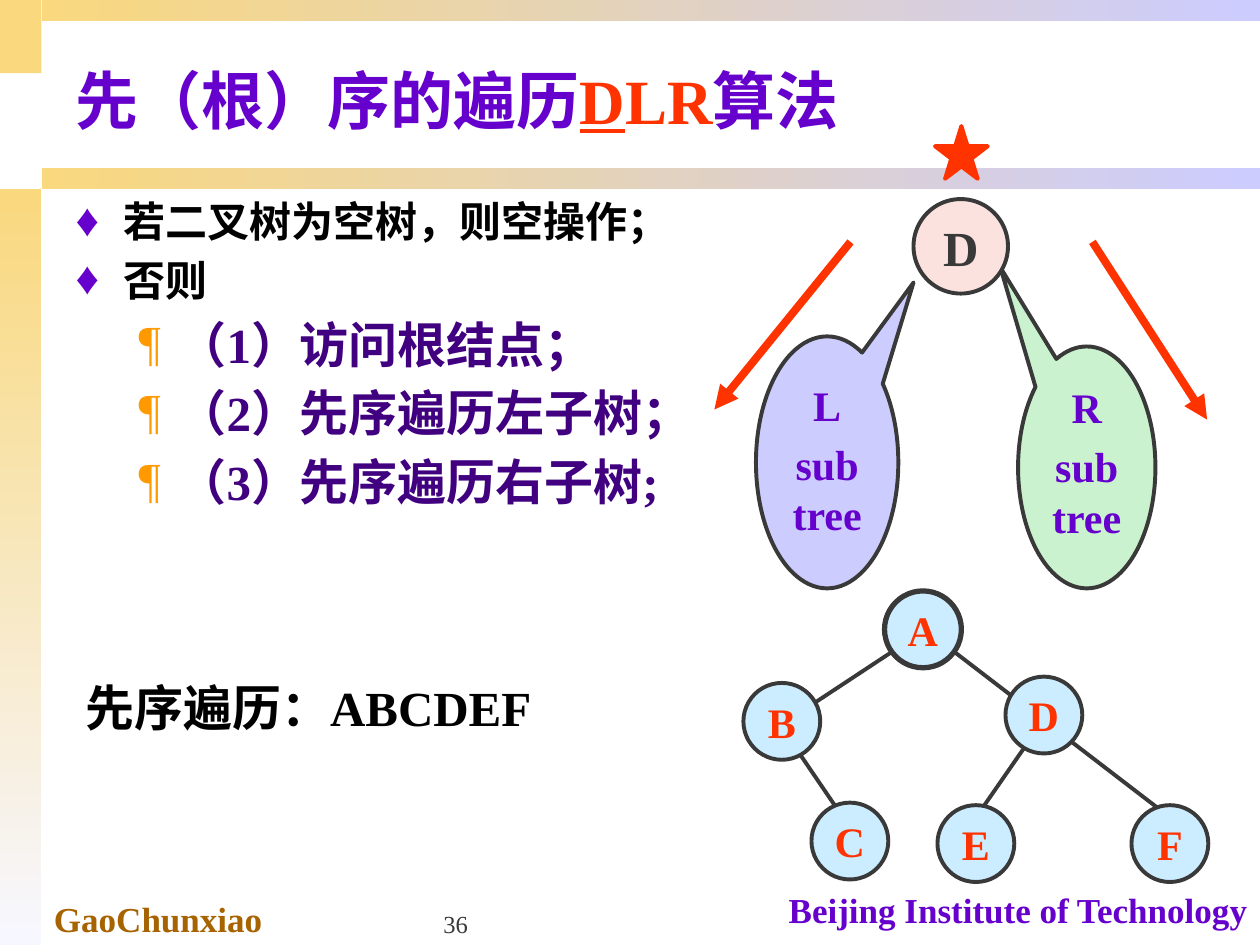
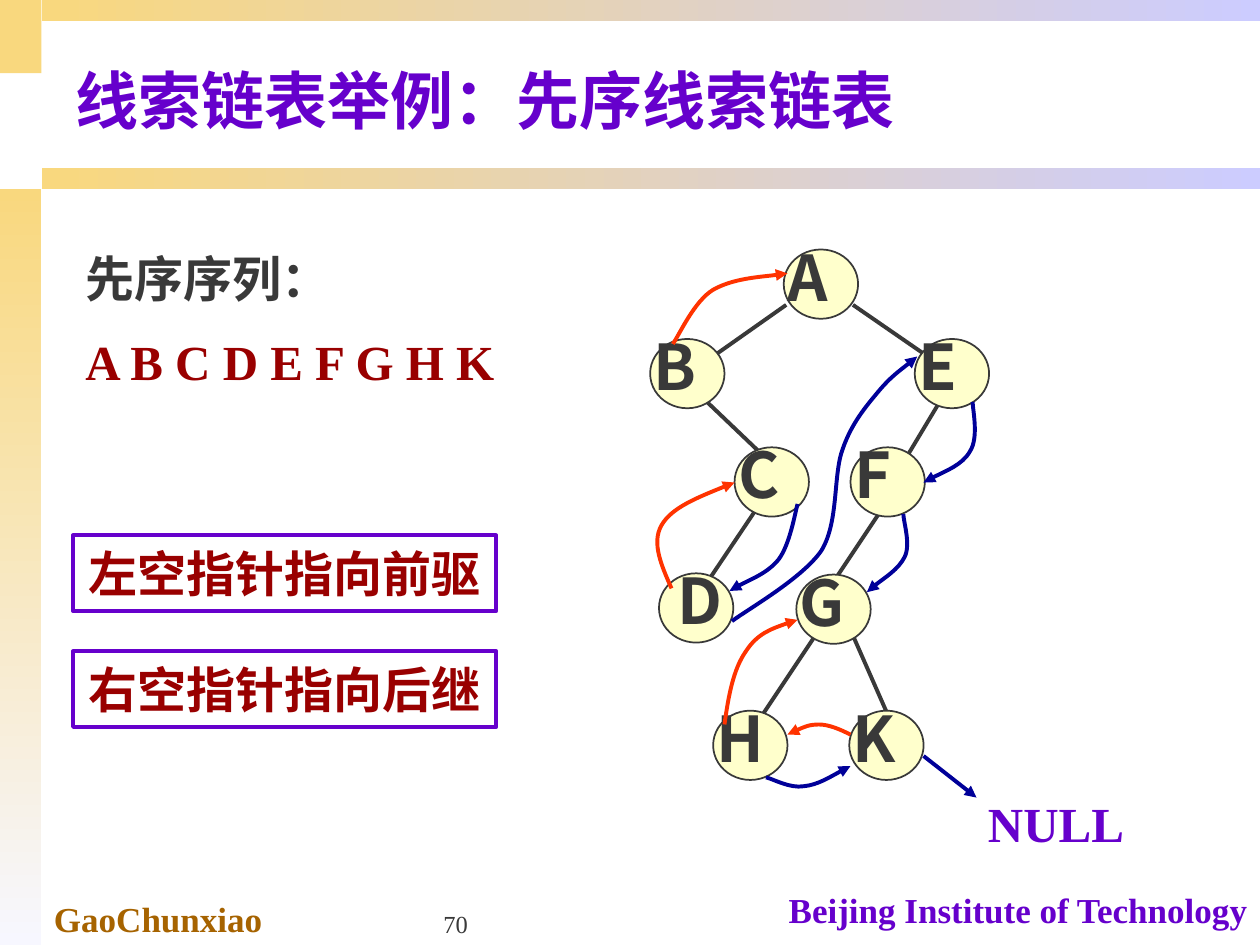
from lxml import etree
from pptx import Presentation
from pptx.dml.color import RGBColor
from pptx.enum.shapes import MSO_CONNECTOR, MSO_SHAPE
from pptx.enum.text import MSO_ANCHOR, MSO_AUTO_SIZE, PP_ALIGN
from pptx.oxml.ns import qn
from pptx.util import Inches, Pt

RECTANGLE, ELLIPSE = MSO_SHAPE.RECTANGLE, MSO_SHAPE.OVAL
CALLOUT, STAR = MSO_SHAPE.OVAL_CALLOUT, MSO_SHAPE.STAR_5_POINT
STRAIGHT = MSO_CONNECTOR.STRAIGHT
TOP, MIDDLE, BOTTOM = MSO_ANCHOR.TOP, MSO_ANCHOR.MIDDLE, MSO_ANCHOR.BOTTOM
LEFT, CENTER, RIGHT = PP_ALIGN.LEFT, PP_ALIGN.CENTER, PP_ALIGN.RIGHT
NO_AUTOFIT = MSO_AUTO_SIZE.NONE

SERIF, SANS = "Times New Roman", "Noto Sans CJK SC"
PURPLE, ORANGE, GRAY, BLACK = "6600CC", "FF3300", "393939", "000000"
GOLD, LILAC, PALE, BROWN = "F9D87E", "CCCCFF", "F7F7FF", "A66300"
MAROON, NAVY, INDIGO, AMBER = "990000", "000099", "400080", "FF9900"
SKY, CREAM, PINK, GREEN = "CCECFF", "FFFFCC", "FBE2DF", "CAF2CE"


def rgb(value):
    return RGBColor.from_string(value)


def box(left, top, width, height):
    return [Inches(value) for value in (left, top, width, height)]


def add_run(paragraph, text, size, color, bold=True, font=SERIF, underline=None):
    run = paragraph.add_run()
    run.text = text
    run.font.size = Pt(size)
    run.font.bold = bold
    run.font.name = font
    run.font.underline = underline
    run.font.color.rgb = rgb(color)
    east_asian = etree.SubElement(run.font._element, qn("a:ea"))
    east_asian.set("typeface", SANS)


def set_frame(shape, anchor=TOP, wrap=True):
    frame = shape.text_frame
    frame.auto_size = NO_AUTOFIT
    frame.vertical_anchor = anchor
    frame.word_wrap = wrap
    return frame


def add_text(slide, bounds, text, size, color, align=LEFT, anchor=TOP, **style):
    text_box = slide.shapes.add_textbox(*box(*bounds))
    paragraph = set_frame(text_box, anchor).paragraphs[0]
    paragraph.alignment = align
    add_run(paragraph, text, size, color, **style)
    return text_box


def add_shape(slide, kind, bounds, fill=None, line=None, width=2.25):
    shape = slide.shapes.add_shape(kind, *box(*bounds))
    shape.shadow.inherit = False
    if fill:
        shape.fill.solid()
        shape.fill.fore_color.rgb = rgb(fill)
    else:
        shape.fill.background()
    if line:
        shape.line.color.rgb = rgb(line)
        shape.line.width = Pt(width)
    else:
        shape.line.fill.background()
    return shape


def add_label(shape, text, size, color):
    paragraph = set_frame(shape, MIDDLE, False).paragraphs[0]
    paragraph.alignment = CENTER
    add_run(paragraph, text, size, color)


def set_line(shape, color, width, arrow):
    shape.line.color.rgb = rgb(color)
    shape.line.width = Pt(width)
    if arrow:
        line = shape.line._get_or_add_ln()
        etree.SubElement(line, qn("a:tailEnd")).set("type", "triangle")


def add_line(slide, origin, ends, color=GRAY, width=2.25, arrow=False):
    left, top = origin
    x1, y1, x2, y2 = ends
    points = box(left + x1, top + y1, left + x2, top + y2)
    connector = slide.shapes.add_connector(STRAIGHT, *points)
    set_line(connector, color, width, arrow)
    etree.SubElement(connector._element.spPr, qn("a:effectLst"))


def add_curve(slide, origin, points, color):
    placed = [(Inches(origin[0] + x), Inches(origin[1] + y)) for x, y in points]
    builder = slide.shapes.build_freeform(*placed[0])
    builder.add_line_segments(placed[1:], close=False)
    shape = builder.convert_to_shape()
    shape.shadow.inherit = False
    shape.fill.background()
    set_line(shape, color, 2.25, True)
    segments = list(shape._element.iter(qn("a:lnTo")))
    for start in range(0, len(segments), 3):
        curve = etree.Element(qn("a:cubicBezTo"))
        segments[start].addprevious(curve)
        for segment in segments[start:start + 3]:
            curve.append(segment[0])
            segment.getparent().remove(segment)


def add_gradient(slide, bounds, end, angle):
    band = add_shape(slide, RECTANGLE, bounds, GOLD)
    band.fill.gradient()
    band.fill.gradient_angle = angle
    for stop, color in zip(band.fill.gradient_stops, (GOLD, end)):
        stop.color.rgb = rgb(color)


def start_slide(presentation, layout, number, title_runs):
    slide = presentation.slides.add_slide(presentation.slide_layouts[layout])
    add_shape(slide, RECTANGLE, (0, 0, 0.33, 0.58), GOLD)
    add_gradient(slide, (0, 1.5, 0.33, 6), PALE, 270)
    for top in (1.33, 0):
        add_gradient(slide, (0.33, top, 9.67, 0.17), LILAC, 0)
    add_text(slide, (0.33, 7.07, 3.5, 0.44), "GaoChunxiao", 20, BROWN)
    add_text(slide, (6.08, 7, 3.92, 0.43), "Beijing Institute of Technology", 20, PURPLE, RIGHT)
    add_text(slide, (3.42, 7, 2.08, 0.5), number, 14, GRAY, anchor=BOTTOM, bold=False)
    title = slide.shapes.title
    title.left, title.top, title.width, title.height = box(0.5, 0.25, 9.5, 1.07)
    paragraph = set_frame(title, MIDDLE).paragraphs[0]
    paragraph.alignment = LEFT
    for text, color, underline in title_runs:
        add_run(paragraph, text, 36, color, underline=underline)
    return slide


def add_bullet(paragraph, level, mark, color, percent, margin, indent):
    paragraph.level = level
    properties = paragraph._p.get_or_add_pPr()
    properties.set("marL", str(Inches(margin)))
    properties.set("indent", str(Inches(indent)))
    bullet_color = etree.SubElement(properties, qn("a:buClr"))
    etree.SubElement(bullet_color, qn("a:srgbClr")).set("val", color)
    etree.SubElement(properties, qn("a:buSzPct")).set("val", str(percent * 1000))
    etree.SubElement(properties, qn("a:buFont")).set("typeface", SERIF)
    etree.SubElement(properties, qn("a:buChar")).set("char", mark)


def fill_steps(body, bounds):
    body.left, body.top, body.width, body.height = box(*bounds)
    frame = set_frame(body)
    levels = [
        (24, BLACK, ("♦", PURPLE, 110, 0.38, -0.38)),
        (28, INDIGO, ("¶", AMBER, 100, 0.81, -0.31)),
    ]
    steps = [
        (0, "若二叉树为空树，则空操作；"),
        (0, "否则"),
        (1, "（1）访问根结点；"),
        (1, "（2）先序遍历左子树；"),
        (1, "（3）先序遍历右子树;"),
    ]
    for index, (level, text) in enumerate(steps):
        size, color, bullet = levels[level]
        paragraph = frame.add_paragraph() if index else frame.paragraphs[0]
        add_bullet(paragraph, level, *bullet)
        paragraph.space_before = Pt(size * 0.2 if index else 0)
        add_run(paragraph, text, size, color)


def add_subtree(slide, bounds, letter, fill, pointer, inset):
    callout = add_shape(slide, CALLOUT, bounds, fill, GRAY)
    for index, value in enumerate(pointer):
        callout.adjustments[index] = value
    frame = set_frame(callout)
    frame.margin_top = frame.margin_bottom = Inches(inset)
    first, second = frame.paragraphs[0], frame.add_paragraph()
    first.alignment = second.alignment = CENTER
    second.space_before = Pt(4.8)
    add_run(first, letter, 24, PURPLE)
    add_run(second, "sub", 24, PURPLE)
    second.add_line_break()
    add_run(second, "tree", 24, PURPLE)


def add_traversal_order(slide, left, top):
    add_subtree(slide, (left, top + 1.67, 1.13, 2), "L", LILAC, (0.607, -0.714), 0.05)
    add_subtree(slide, (left + 2.08, top + 1.75, 1.09, 1.92), "R", GREEN, (-0.629, -0.827), 0)
    add_shape(slide, ELLIPSE, (left + 1.25, top + 0.58, 0.75, 0.75), PINK, GRAY)
    add_text(slide, (left + 1.25, top + 0.68, 0.75, 0.57), "D", 28, GRAY, CENTER)
    for ends in ((0.75, 0.92, -0.33, 2.25), (2.67, 0.92, 3.58, 2.33)):
        add_line(slide, (left, top), ends, ORANGE, 4.5, True)
    add_shape(slide, STAR, (left + 1.42, top, 0.42, 0.42), ORANGE, ORANGE)


def add_sample_tree(slide, left, top):
    edges = [(2.35, 1.07, 1.83, 1.82), (1.63, 0.45, 3.52, 1.9),
             (1.23, 0.45, 0.29, 1.07), (0.37, 1.18, 0.86, 1.9)]
    nodes = {"A": (1.12, 0), "B": (0, 0.73), "C": (0.54, 1.68),
             "D": (2.08, 0.68), "F": (3.08, 1.7), "E": (1.54, 1.7)}
    for ends in edges:
        add_line(slide, (left, top), ends)
    for letter, (x, y) in nodes.items():
        width = 3 if letter == "A" else 2.25
        node = add_shape(slide, ELLIPSE, (left + x, top + y, 0.61, 0.61), SKY, GRAY, width)
        add_label(node, letter, 24, ORANGE)


def add_threaded_tree(slide, left, top):
    edges = [(2.08, 1.92, 1.58, 2.67), (1.75, 3, 2.08, 3.75), (1.5, 3, 1, 3.75),
             (1.03, 2, 0.58, 2.67), (1.24, 0.42, 0.53, 0.92), (1.77, 0.42, 2.48, 0.91),
             (0.59, 1.17, 1.03, 1.59), (2.47, 1.17, 2.17, 1.67)]
    nodes = {"D": (0.23, 2.55), "A": (1.22, -0.02), "F": (1.75, 1.55),
             "C": (0.83, 1.55), "E": (2.26, 0.69), "B": (0.16, 0.69),
             "G": (1.32, 2.56), "H": (0.66, 3.64), "K": (1.74, 3.64)}
    predecessors = [
        [(0.33, 2.67), (0.25, 2.49), (0.17, 2.31), (0.25, 2.17),
         (0.33, 2.03), (0.58, 1.93), (0.83, 1.83)],
        [(0.34, 0.73), (0.39, 0.66), (0.51, 0.39), (0.66, 0.3),
         (0.82, 0.21), (1.13, 0.19), (1.25, 0.17)],
        [(0.75, 3.75), (0.78, 3.53), (0.82, 3.31), (0.92, 3.17),
         (1.01, 3.03), (1.17, 2.97), (1.33, 2.92)],
        [(1.75, 3.83), (1.67, 3.79), (1.58, 3.75), (1.5, 3.75),
         (1.42, 3.75), (1.33, 3.79), (1.25, 3.83)],
    ]
    successors = [
        [(0.81, 2.93), (0.93, 2.84), (1.37, 2.59), (1.52, 2.37), (1.66, 2.14),
         (1.61, 1.77), (1.69, 1.56), (1.76, 1.36), (1.87, 1.23), (1.97, 1.11),
         (2.07, 0.99), (2.21, 0.89), (2.28, 0.83)],
        [(1.33, 2), (1.31, 2.07), (1.27, 2.32), (1.18, 2.44),
         (1.09, 2.55), (0.88, 2.63), (0.79, 2.69)],
        [(2.72, 1.19), (2.72, 1.25), (2.77, 1.47), (2.7, 1.58),
         (2.64, 1.69), (2.41, 1.78), (2.33, 1.83)],
        [(1.08, 4.17), (1.13, 4.18), (1.27, 4.26), (1.38, 4.24),
         (1.49, 4.23), (1.67, 4.12), (1.75, 4.08)],
        [(2.17, 2.08), (2.17, 2.14), (2.23, 2.32), (2.18, 2.42),
         (2.13, 2.52), (1.94, 2.64), (1.88, 2.7)],
    ]
    for ends in edges:
        add_line(slide, (left, top), ends)
    for letter, (x, y) in nodes.items():
        add_shape(slide, ELLIPSE, (left + x, top + y, 0.59, 0.55), CREAM, GRAY, 1)
        shift = 0.05 if letter == "D" else -0.07
        bounds = (left + x + shift, top + y - 0.14, 0.9, 0.7)
        add_text(slide, bounds, letter, 36, GRAY, font=SANS)
    for color, threads in ((ORANGE, predecessors), (NAVY, successors)):
        for points in threads:
            add_curve(slide, (left, top), points, color)
    add_line(slide, (left, top), (2.33, 4, 2.75, 4.33), NAVY, arrow=True)
    add_text(slide, (left + 2.67, top + 4.25, 1.42, 0.57), "NULL", 28, PURPLE, CENTER)


def add_sequence(slide, left, top):
    text_box = add_text(slide, (left, top, 3.48, 1.97), "先序序列：", 28, GRAY)
    paragraph = text_box.text_frame.add_paragraph()
    paragraph.space_before = Pt(14)
    add_run(paragraph, "A B C D E F G H K", 28, MAROON)
    for index, rule in enumerate(("左空指针指向前驱", "右空指针指向后继")):
        bounds = (left, top + 2.33 + 0.92 * index, 3.36, 0.6)
        add_label(add_shape(slide, RECTANGLE, bounds, line=PURPLE), rule, 28, MAROON)


def build_preorder_slide(presentation):
    title = [("先（根）序的遍历", PURPLE, None), ("D", ORANGE, True),
             ("LR", ORANGE, None), ("算法", PURPLE, None)]
    slide = start_slide(presentation, 1, "36", title)
    fill_steps(slide.placeholders[1], (0.5, 1.5, 6.08, 5.42))
    add_traversal_order(slide, 6, 1)
    add_text(slide, (0.58, 5.33, 4.17, 0.57), "先序遍历：ABCDEF", 28, BLACK)
    add_sample_tree(slide, 5.9, 4.69)


def build_threaded_slide(presentation):
    title = [("线索链表举例：先序线索链表", PURPLE, None)]
    slide = start_slide(presentation, 5, "70", title)
    add_threaded_tree(slide, 5, 2)
    add_sequence(slide, 0.58, 1.92)


def main():
    presentation = Presentation()
    presentation.slide_width, presentation.slide_height = Inches(10), Inches(7.5)
    build_preorder_slide(presentation)
    build_threaded_slide(presentation)
    presentation.save("out.pptx")


if __name__ == "__main__":
    main()
